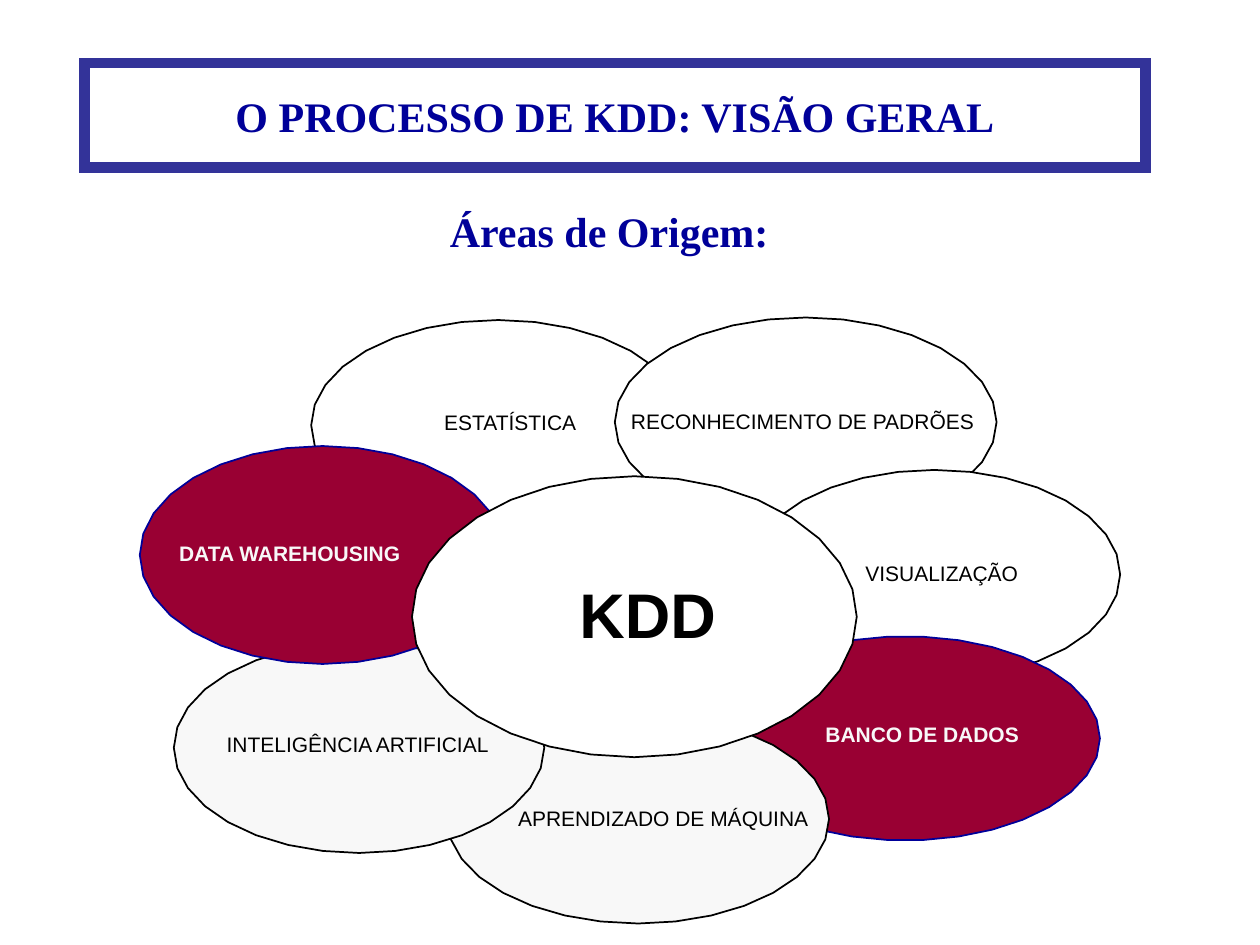
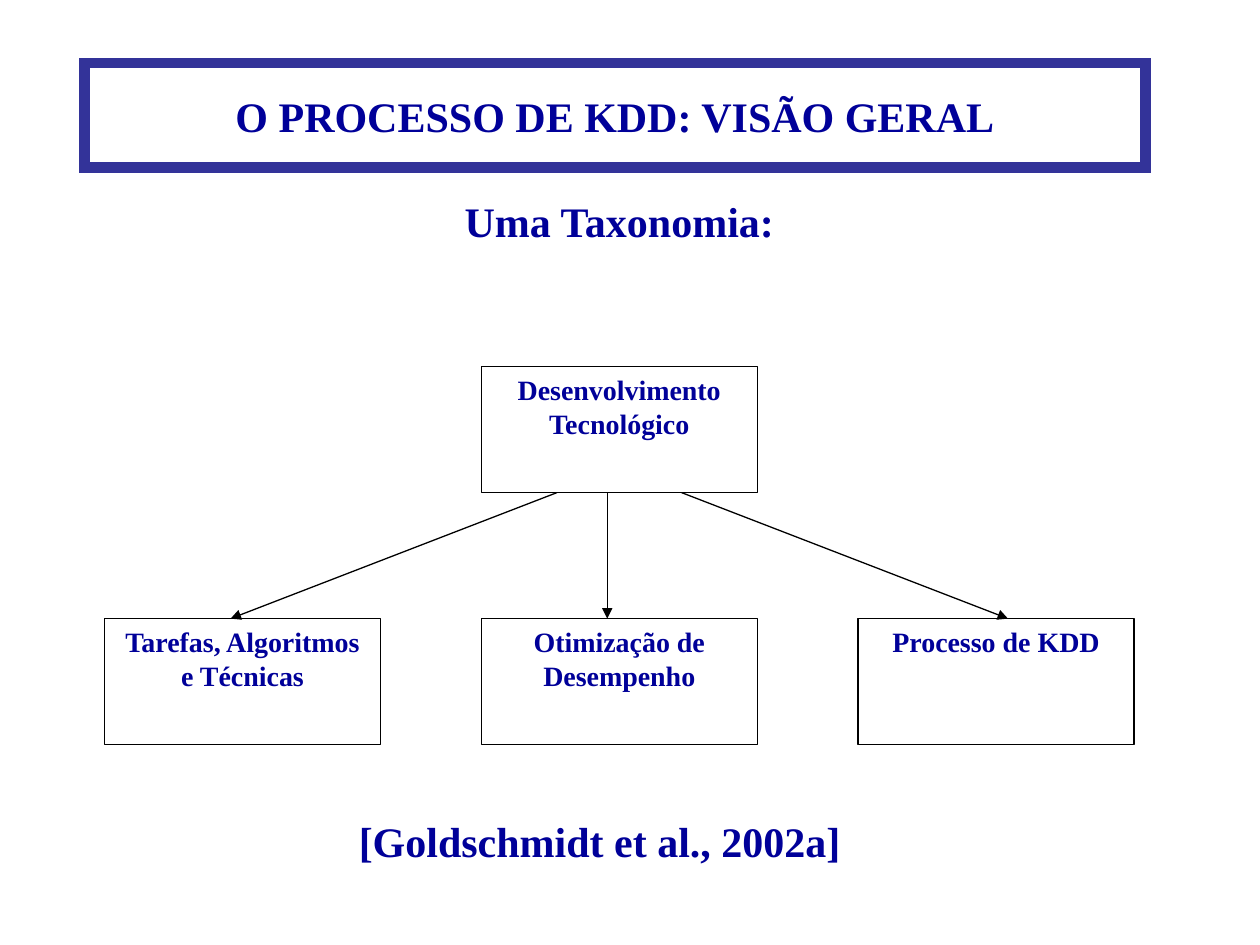
import math

from lxml import etree
from pptx import Presentation
from pptx import util as u
from pptx.dml.color import RGBColor
from pptx.enum import shapes, text
from pptx.oxml.ns import qn

PX = 9144
COLOURS = {
    "navy": "000099",
    "frame": "333399",
    "black": "000000",
    "white": "FFFFFF",
    "pale": "F8F8F8",
    "wine": "990033",
}
SERIF = "Times New Roman"
SANS = "Arial"


def px(*lengths):
    return [u.Emu(round(length * PX)) for length in lengths]


def colour(name):
    return RGBColor.from_string(COLOURS[name])


def write(box, words, size=24, font=SERIF, ink="navy", bold=True,
          anchor=text.MSO_ANCHOR.TOP, margins=(10, 5, 10, 5),
          wrap=True, fit=text.MSO_AUTO_SIZE.NONE):
    frame = box.text_frame
    frame.word_wrap = wrap
    frame.auto_size = fit
    frame.vertical_anchor = anchor
    (frame.margin_left, frame.margin_top,
     frame.margin_right, frame.margin_bottom) = px(*margins)
    para = frame.paragraphs[0]
    para.alignment = text.PP_ALIGN.CENTER
    span = para.add_run()
    span.text = words
    span.font.name = font
    span.font.size = u.Pt(size)
    span.font.bold = bold
    span.font.color.rgb = colour(ink)


class Painter:
    def __init__(self, deck):
        self.deck = deck
        self.page = None

    def start_page(self, title):
        self.page = self.deck.slides.add_slide(self.deck.slide_layouts[5])
        box = self.page.shapes.title
        box.left, box.top, box.width, box.height = px(67, 50, 842, 83)
        self.outline(box, "frame", 6)
        etree.SubElement(box.line._get_or_add_ln(), qn("a:miter"), lim="800000")
        write(box, title, anchor=text.MSO_ANCHOR.MIDDLE)

    def outline(self, shape, ink, width):
        shape.line.color.rgb = colour(ink)
        shape.line.width = u.Pt(width)

    def paint(self, shape, fill, ink, width):
        shape.shadow.inherit = False
        shape.fill.solid()
        shape.fill.fore_color.rgb = colour(fill)
        self.outline(shape, ink, width)

    def label(self, place, words, **style):
        box = self.page.shapes.add_textbox(*px(*place))
        write(box, words, fit=text.MSO_AUTO_SIZE.SHAPE_TO_FIT_TEXT, **style)

    def oval(self, place, fill, ink, sides):
        left, top, width, height = place
        points = []
        for step in range(sides):
            angle = 2 * math.pi * step / sides
            points.append(px(left + width / 2 * (1 - math.cos(angle)),
                             top + height / 2 * (1 - math.sin(angle))))
        builder = self.page.shapes.build_freeform(*points[0])
        builder.add_line_segments(points[1:], close=True)
        self.paint(builder.convert_to_shape(), fill, ink, 1)

    def node(self, place, words):
        box = self.page.shapes.add_shape(
            shapes.MSO_SHAPE.RECTANGLE, *px(*place))
        self.paint(box, "white", "black", 0.75)
        write(box, words, size=16)

    def arrow(self, start, end):
        line = self.page.shapes.add_connector(
            shapes.MSO_CONNECTOR.STRAIGHT, *px(*start, *end))
        self.outline(line, "black", 0.75)
        properties = line.line._get_or_add_ln()
        etree.SubElement(properties, qn("a:tailEnd"), type="triangle")
        etree.SubElement(line._element.spPr, qn("a:effectLst"))


def draw_origins(painter):
    plain = ("white", "black", 32, {"bold": False})
    grey = ("pale", "black", 32, {"bold": False})
    wine = {"ink": "pale"}
    areas = [
        ("ESTATÍSTICA", (247, 254, 297, 167), (348, 325, 114, 20), plain),
        ("RECONHECIMENTO DE PADRÕES", (488, 252, 303, 166),
         (497, 324, 280, 20), plain),
        ("VISUALIZAÇÃO", (594, 373, 295, 166), (684, 445, 127, 20), plain),
        ("BANCO DE DADOS", (564, 505, 309, 162), (652, 573, 160, 20),
         ("wine", "navy", 34, wine)),
        ("APRENDIZADO DE MÁQUINA", (355, 567, 303, 166),
         (408, 639, 237, 20), grey),
        ("INTELIGÊNCIA ARTIFICIAL", (138, 510, 294, 167),
         (176, 581, 216, 20), grey),
        ("DATA WAREHOUSING", (111, 354, 290, 173), (137, 429, 186, 20),
         ("wine", "navy", 32, wine)),
        ("KDD", (327, 378, 353, 223), (454, 457, 120, 60),
         ("white", "black", 32, {"size": 36})),
    ]
    for words, oval, label, (fill, ink, sides, style) in areas:
        painter.oval(oval, fill, ink, sides)
        base = {"size": 12, "font": SANS, "ink": "black",
                "margins": (0, 0, 0, 0), "wrap": False}
        painter.label(label, words, **(base | style))
    painter.label((67, 158, 833, 50), "Áreas de Origem:")


def draw_taxonomy(painter):
    left, pitch, width, height = 83, 299, 219, 100
    root_top, branch_top = 291, 491
    branches = ["Tarefas, Algoritmos e Técnicas",
                "Otimização de Desempenho", "Processo de KDD"]
    painter.node((left + pitch, root_top, width, height),
                 "Desenvolvimento Tecnológico")
    for column, words in enumerate(branches):
        painter.node((left + column * pitch, branch_top, width, height), words)
    for start, end in [(442, 183), (482, 482), (541, 800)]:
        painter.arrow((start, root_top + height), (end, branch_top))
    painter.label((125, 642, 742, 50), "[Goldschmidt et al., 2002a]",
                  margins=(10, 5, 50, 5))
    painter.label((58, 150, 867, 50), "Uma Taxonomia:")


def main():
    deck = Presentation()
    deck.slide_width, deck.slide_height = px(1000, 750)
    painter = Painter(deck)
    for draw in (draw_origins, draw_taxonomy):
        painter.start_page("O PROCESSO DE KDD: VISÃO GERAL")
        draw(painter)
    deck.save("out.pptx")


if __name__ == "__main__":
    main()
